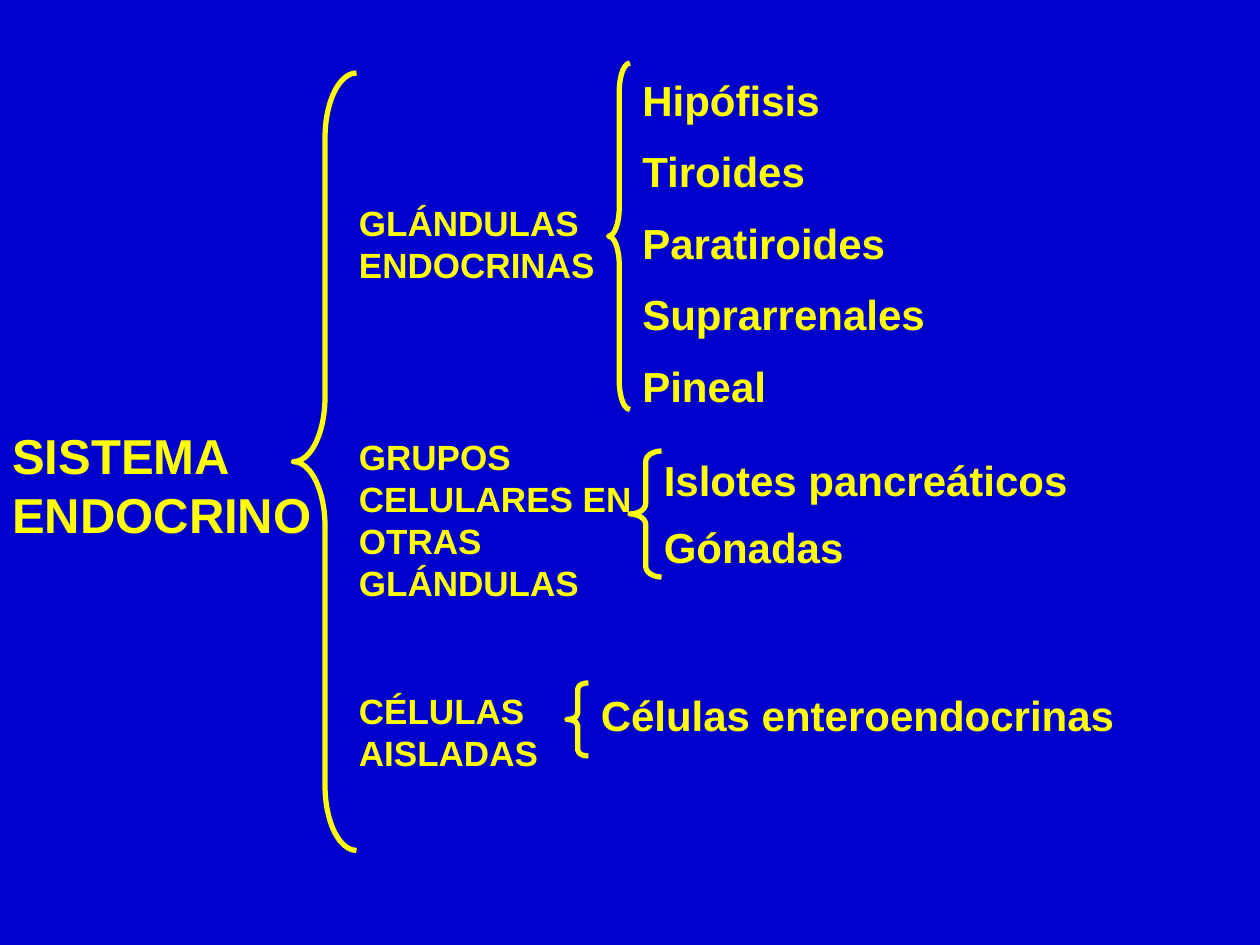
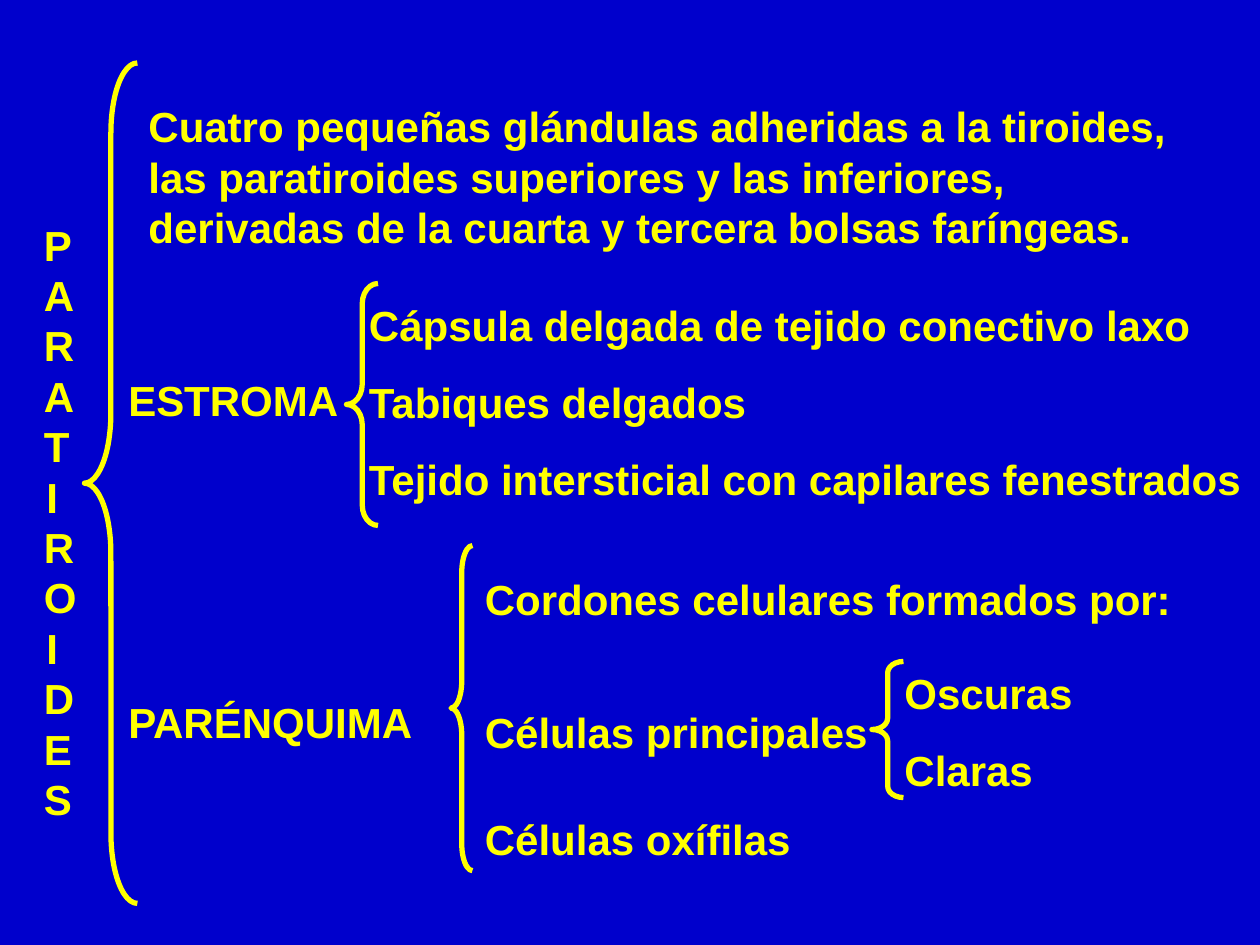
from pptx import Presentation
from pptx.dml.color import RGBColor
from pptx.enum.shapes import MSO_SHAPE as Shape
from pptx.enum.text import PP_ALIGN as Align
from pptx.util import Inches, Pt

BLUE = "0000CC"
YELLOW = "FFFF00"
FONT = "Arial"


def paint(color, code):
    """Set a colour format to a hex code."""
    color.rgb = RGBColor.from_string(code)


def add_page(deck):
    """Add a blank slide with the blue background."""
    page = deck.slides.add_slide(deck.slide_layouts[6])
    fill = page.background.fill
    fill.solid()
    paint(fill.fore_color, BLUE)
    return page


def add_brace(page, left, top, width, height):
    """Draw a left brace whose curves take a twelfth of its height."""
    brace = page.shapes.add_shape(
        Shape.LEFT_BRACE, Inches(left), Inches(top), Inches(width), Inches(height))
    brace.adjustments[0] = height / 12 / width
    brace.shadow.inherit = False
    brace.fill.background()
    paint(brace.line.color, YELLOW)
    brace.line.width = Pt(3)


def add_text(page, left, top, width, height, items,
             size=24, pitch=1, gaps=None, align=Align.LEFT):
    """Write bold yellow items, one a paragraph, with gaps in points between."""
    box = page.shapes.add_textbox(
        Inches(left), Inches(top), Inches(width), Inches(height))
    frame = box.text_frame
    frame.word_wrap = True
    frame.text = "\n".join(items)
    gaps = gaps or [15] * (len(items) - 1)
    for para, gap in zip(frame.paragraphs, [0, *gaps]):
        para.alignment = align
        para.space_before = Pt(gap)
        para.line_spacing = Pt(1.2 * size * pitch)
        for run in para.runs:
            run.font.name = FONT
            run.font.size = Pt(size)
            run.font.bold = True
            paint(run.font.color, YELLOW)


def build_system(deck):
    """Chart the parts of the endocrine system."""
    page = add_page(deck)
    add_text(page, 0, 3.33, 2.67, 1.04, ["SISTEMA ENDOCRINO"], size=28)
    groups = [
        (1.55, 0.77, "GLÁNDULAS ENDOCRINAS"),
        (3.41, 1.43, "GRUPOS CELULARES EN OTRAS GLÁNDULAS"),
        (5.42, 0.77, "CÉLULAS AISLADAS"),
    ]
    for top, height, name in groups:
        add_text(page, 2.75, top, 2.75, height, [name], size=20)
    glands = ["Hipófisis", "Tiroides", "Paratiroides", "Suprarrenales", "Pineal"]
    add_text(page, 5, 0.58, 4, 2.74, glands, pitch=0.9)
    add_text(page, 5.17, 3.64, 4.75, 0.95,
             ["Islotes pancreáticos", "Gónadas"], pitch=0.8)
    add_text(page, 4.67, 5.42, 4.67, 0.5, ["Células enteroendocrinas"])
    for spot in [(2.33, 0.58, 0.5, 6.17), (4.83, 0.5, 0.17, 2.75),
                 (5, 3.58, 0.25, 1), (4.5, 5.42, 0.17, 0.58)]:
        add_brace(page, *spot)


def build_glands(deck):
    """Chart the make-up of the parathyroid glands."""
    page = add_page(deck)
    add_text(page, 0.25, 1.69, 0.33, 4.9, ["PARATIROIDES"], align=Align.CENTER)
    add_text(page, 1.08, 0.75, 8.33, 1.3, [
        "Cuatro pequeñas glándulas adheridas a la tiroides, las paratiroides "
        "superiores y las inferiores, derivadas de la cuarta y tercera bolsas "
        "faríngeas."])
    for top, name in [(2.92, "ESTROMA"), (5.48, "PARÉNQUIMA")]:
        add_text(page, 0.92, top, 2.5, 0.5, [name])
    add_text(page, 2.83, 2.33, 7.25, 1.72, [
        "Cápsula delgada de tejido conectivo laxo",
        "Tabiques delgados",
        "Tejido intersticial con capilares fenestrados"])
    add_text(page, 3.75, 4.5, 5.92, 2.41, [
        "Cordones celulares formados por:",
        "Células principales",
        "Células oxífilas"], gaps=[47.3, 32.3])
    add_text(page, 7.08, 5.25, 2.17, 1.11, ["Oscuras", "Claras"])
    for spot in [(0.67, 0.5, 0.42, 6.67), (2.75, 2.25, 0.25, 1.92),
                 (3.58, 4.33, 0.17, 2.58), (6.92, 5.25, 0.25, 1.08)]:
        add_brace(page, *spot)


def main():
    """Build both slides and save the deck."""
    deck = Presentation()
    deck.slide_width = Inches(10)
    deck.slide_height = Inches(7.5)
    build_system(deck)
    build_glands(deck)
    deck.save("out.pptx")


if __name__ == "__main__":
    main()
